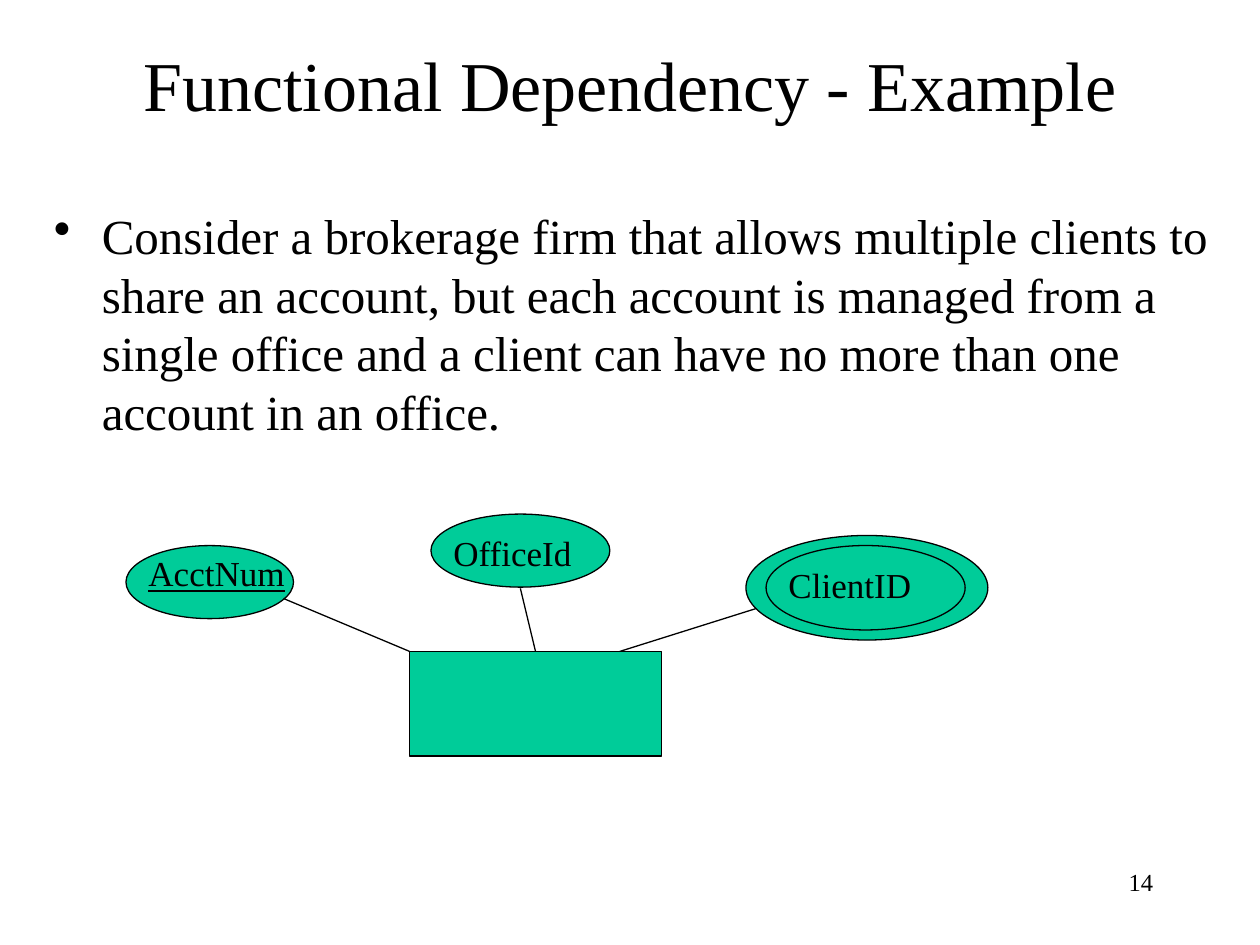
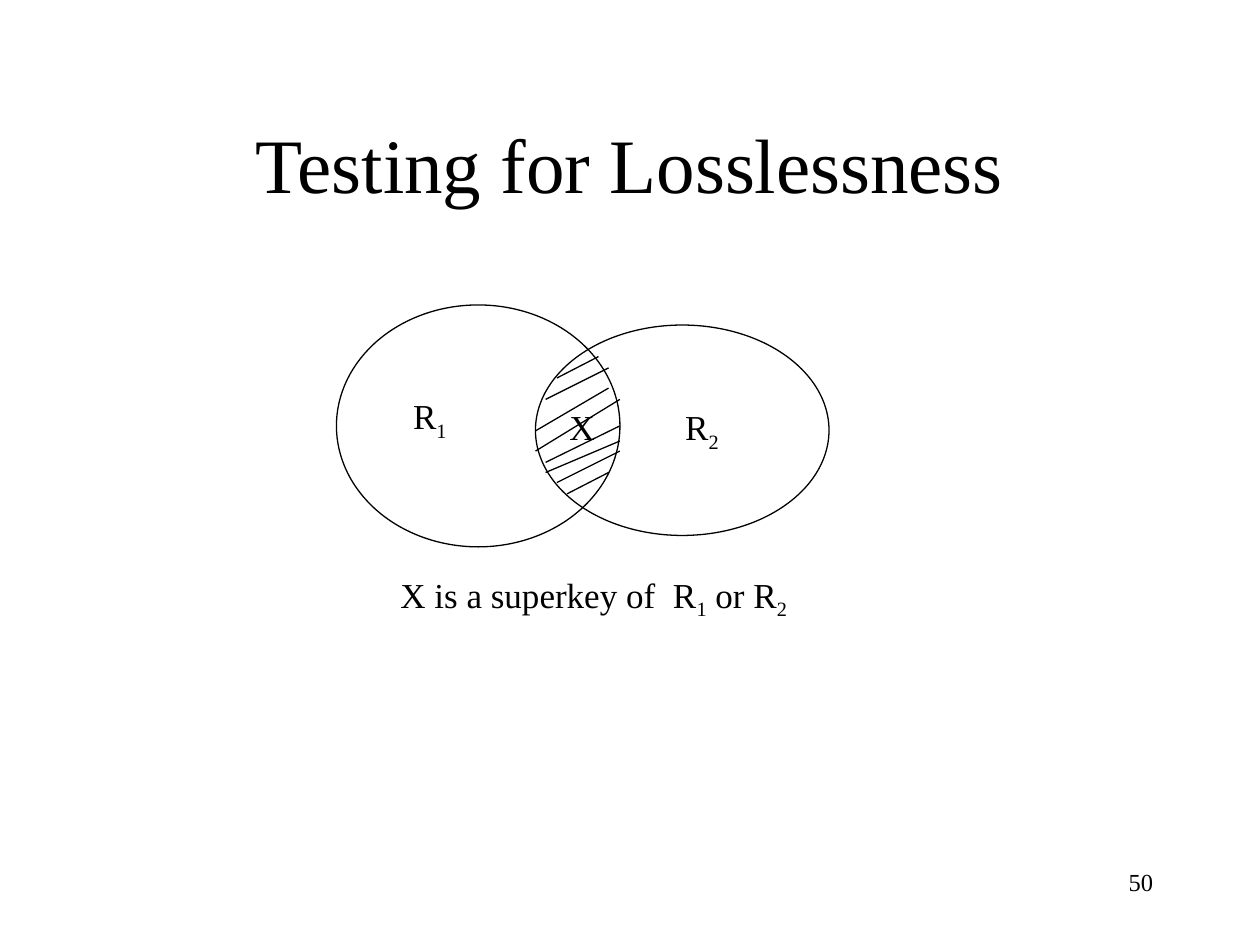
from lxml.etree import SubElement
from pptx import Presentation
from pptx.dml.color import RGBColor
from pptx.enum.shapes import MSO_CONNECTOR, MSO_SHAPE
from pptx.enum.text import MSO_ANCHOR, MSO_AUTO_SIZE, PP_ALIGN
from pptx.oxml.ns import qn
from pptx.util import Inches, Pt

FONT = "Times New Roman"
BLACK = "000000"
GREEN = "00CC99"
TITLE_ONLY = 5


def color(hex_text):
    """Turn a hex string into a colour."""
    return RGBColor.from_string(hex_text)


def place(shape, box):
    """Move and size a shape to a box in inches."""
    shape.left, shape.top, shape.width, shape.height = map(Inches, box)


def style(run, size):
    """Give a run the deck's font and colour."""
    run.font.name = FONT
    run.font.size = Pt(size)
    run.font.color.rgb = color(BLACK)


def add_text(slide, box, parts, size=20, align=PP_ALIGN.LEFT):
    """Write one paragraph; every second part is a subscript."""
    text_box = slide.shapes.add_textbox(*map(Inches, box))
    frame = text_box.text_frame
    frame.word_wrap = True
    paragraph = frame.paragraphs[0]
    paragraph.alignment = align
    for index, part in enumerate(parts):
        run = paragraph.add_run()
        run.text = part
        style(run, size)
        if index % 2:
            run.font._element.set("baseline", "-25000")
    return paragraph


def add_outline(slide, kind, box, fill=None):
    """Draw a thin black outlined shape, filled or hollow."""
    shape = slide.shapes.add_shape(kind, *map(Inches, box))
    shape.shadow.inherit = False
    if fill:
        shape.fill.solid()
        shape.fill.fore_color.rgb = color(fill)
    else:
        shape.fill.background()
    shape.line.color.rgb = color(BLACK)
    shape.line.width = Pt(0.75)


def add_line(slide, start, end):
    """Draw a thin black line between two points."""
    line = slide.shapes.add_connector(MSO_CONNECTOR.STRAIGHT, *map(Inches, start + end))
    line.line.color.rgb = color(BLACK)
    line.line.width = Pt(0.75)
    SubElement(line._element.spPr, qn("a:effectLst"))


def add_slide(deck, title_text, title_box, title_size, number):
    """Start a slide with its title and page number."""
    slide = deck.slides.add_slide(deck.slide_layouts[TITLE_ONLY])
    title = slide.shapes.title
    place(title, title_box)
    frame = title.text_frame
    frame.text = title_text
    frame.word_wrap = True
    frame.auto_size = MSO_AUTO_SIZE.NONE
    frame.vertical_anchor = MSO_ANCHOR.MIDDLE
    frame.paragraphs[0].alignment = PP_ALIGN.CENTER
    style(frame.paragraphs[0].runs[0], title_size)
    add_text(slide, (7.17, 6.83, 2.08, 0.5), [number], 14, PP_ALIGN.RIGHT)
    return slide


def add_bullet(slide, box, text):
    """Write a bulleted paragraph with a hanging indent."""
    paragraph = add_text(slide, box, [text], 28)
    properties = paragraph._p.get_or_add_pPr()
    properties.set("marL", str(Inches(0.38)))
    properties.set("indent", str(Inches(-0.38)))
    SubElement(properties, qn("a:buChar"), char="•")


def add_attribute(slide, box, name, text_drop=0.09):
    """Draw an attribute ellipse with its name."""
    left, top, _, _ = box
    add_outline(slide, MSO_SHAPE.OVAL, box, GREEN)
    return add_text(slide, (left + 0.08, top + text_drop, 1.5, 0.44), [name])


def add_entity_diagram(slide, left, top):
    """Draw the entity and its three attributes."""
    add_outline(slide, MSO_SHAPE.RECTANGLE, (left + 2.25, top + 1.09, 2, 0.83), GREEN)
    key = add_attribute(slide, (left, top + 0.25, 1.33, 0.58), "AcctNum", 0)
    key.runs[0].font.underline = True
    add_attribute(slide, (left + 2.42, top, 1.42, 0.58), "OfficeId")
    add_outline(slide, MSO_SHAPE.OVAL, (left + 4.92, top + 0.17, 1.92, 0.83), GREEN)
    add_attribute(slide, (left + 5.08, top + 0.25, 1.58, 0.67), "ClientID")
    links = [(1.25, 0.67, 2.25), (3.13, 0.59, 3.25), (5, 0.75, 3.92)]
    for attribute_x, attribute_y, entity_x in links:
        add_line(slide, (left + attribute_x, top + attribute_y),
                 (left + entity_x, top + 1.09))


def add_venn_diagram(slide, left, top):
    """Draw two overlapping relations with a hatched intersection."""
    add_outline(slide, MSO_SHAPE.OVAL, (left, top, 2.25, 1.92))
    add_outline(slide, MSO_SHAPE.OVAL, (left + 1.58, top + 0.16, 2.33, 1.67))
    hatching = [
        (1.75, 0.58, 2.08, 0.41), (1.66, 0.75, 2.16, 0.5),
        (1.58, 1, 2.16, 0.66), (1.58, 1.16, 2.25, 0.75),
        (1.66, 1.25, 2.25, 0.96), (1.66, 1.33, 2.25, 1.08),
        (1.75, 1.41, 2.25, 1.16), (1.83, 1.5, 2.16, 1.33),
    ]
    for x1, y1, x2, y2 in hatching:
        add_line(slide, (left + x1, top + y1), (left + x2, top + y2))
    labels = [(1.75, 0.75, ["X"]), (0.51, 0.66, ["R", "1"]), (2.67, 0.75, ["R", "2"])]
    for x, y, parts in labels:
        add_text(slide, (left + x, top + y, 0.6, 0.48), parts)


def build_dependency_slide(deck):
    """Build the functional dependency example."""
    slide = add_slide(deck, "Functional Dependency - Example",
                      (0.75, 0.33, 8.5, 0.67), 40, "14")
    add_bullet(slide, (0.33, 1.58, 9.42, 4.92),
               "Consider a brokerage firm that allows multiple clients to share an "
               "account, but each account is managed from a single office and a "
               "client can have no more than one account in an office.")
    add_entity_diagram(slide, 1, 4.08)


def build_losslessness_slide(deck):
    """Build the losslessness test."""
    slide = add_slide(deck, "Testing for Losslessness",
                      (0.75, 0.67, 8.5, 1.25), 44, "50")
    add_venn_diagram(slide, 2.67, 2.42)
    add_text(slide, (3.08, 4.5, 4, 0.86),
             ["X is a superkey of  R", "1", " or R", "2"])


def main():
    """Build and save the deck."""
    deck = Presentation()
    deck.slide_width, deck.slide_height = Inches(10), Inches(7.5)
    build_dependency_slide(deck)
    build_losslessness_slide(deck)
    deck.save("out.pptx")


if __name__ == "__main__":
    main()
